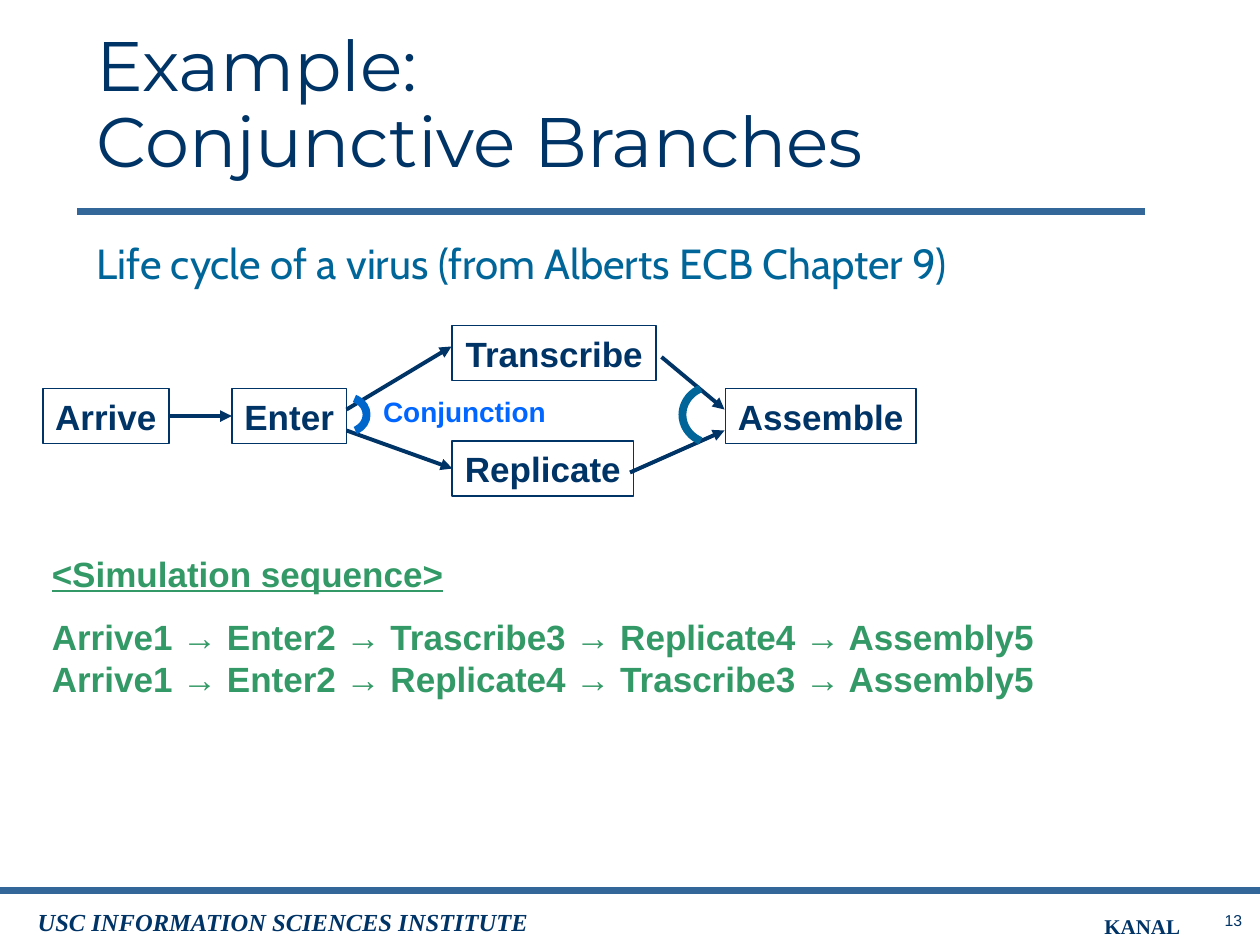
from pptx import Presentation, util as u
from pptx.dml import color
from pptx.enum import shapes, text
from pptx.oxml.ns import qn
from lxml import etree

NAVY = "003366"
BLUE = "336699"
GREEN = "339966"
TEAL = "006699"


def rgb(value):
    """Turn a hex string into a colour."""
    return color.RGBColor.from_string(value)


def place(area):
    """Turn a row of points into lengths."""
    return [u.Pt(value) for value in area]


def style(para, size, shade, name="Arial", bold=False, italic=False):
    """Set the font of a whole paragraph."""
    font = para.font
    font.size, font.name = u.Pt(size), name
    font.bold, font.italic = bold, italic
    font.color.rgb = rgb(shade)


def add_text(page, lines, area, size, shade, centred=False, wrap=True, **look):
    """Add a text box with one paragraph for each line."""
    frame = page.shapes.add_textbox(*place(area)).text_frame
    frame.word_wrap = wrap
    frame.text = "\n".join(lines)
    for para in frame.paragraphs:
        if centred:
            para.alignment = text.PP_ALIGN.CENTER
        style(para, size, shade, **look)
    return frame


def add_step(page, label, left, top, width):
    """Add an outlined box that names one step."""
    box = page.shapes.add_shape(
        shapes.MSO_SHAPE.RECTANGLE, *place((left, top, width, 31.5)))
    box.shadow.inherit = False
    box.fill.background()
    box.line.color.rgb = rgb(NAVY)
    box.line.width = u.Pt(1)
    frame = box.text_frame
    frame.word_wrap = False
    para = frame.paragraphs[0]
    para.text = label
    para.alignment = text.PP_ALIGN.CENTER
    style(para, 20, NAVY, bold=True)
    return box


def add_line(page, ends, shade, width, arrow=False):
    """Add a straight line, with an arrowhead at its end if asked."""
    line = page.shapes.add_connector(
        shapes.MSO_CONNECTOR.STRAIGHT, *place(ends))
    line.line.color.rgb = rgb(shade)
    line.line.width = u.Pt(width)
    if arrow:
        etree.SubElement(line.line._get_or_add_ln(), qn("a:tailEnd"),
                         type="triangle")
    etree.SubElement(line._element.spPr, qn("a:effectLst"))
    return line


def add_arc(page, area, start, end, shade):
    """Add an arc that runs clockwise between two angles in degrees."""
    arc = page.shapes.add_shape(shapes.MSO_SHAPE.ARC, *place(area))
    arc.shadow.inherit = False
    arc.fill.background()
    arc.adjustments[0] = start * 0.6
    arc.adjustments[1] = end * 0.6
    arc.line.color.rgb = rgb(shade)
    arc.line.width = u.Pt(4.5)


def add_title(page, words):
    """Place and format the title placeholder."""
    title = page.shapes.title
    title.left, title.top, title.width, title.height = place((48, 18, 602, 90))
    frame = title.text_frame
    frame.word_wrap = True
    frame.auto_size = text.MSO_AUTO_SIZE.NONE
    frame.vertical_anchor = text.MSO_ANCHOR.BOTTOM
    frame.text = words
    para = frame.paragraphs[0]
    para.alignment = text.PP_ALIGN.LEFT
    para.line_spacing = 0.9
    style(para, 40, NAVY, "Montserrat")


def add_frame(page):
    """Add the rules and the footer."""
    add_line(page, (654.5, 121, 44, 121), BLUE, 4)
    add_line(page, (720, 509, -1, 509), BLUE, 4)
    add_text(page, ["13"], (677, 517, 55.5, 18), 9, NAVY,
             centred=True, wrap=False)
    for words, area, size, italic in (
            ("USC INFORMATION SCIENCES INSTITUTE", (14.4, 515, 314, 24), 14, True),
            ("KANAL", (624, 518.4, 84, 21.6), 12, False)):
        add_text(page, [words], area, size, NAVY,
                 name="Times New Roman", bold=True, italic=italic)


def add_diagram(page):
    """Add the steps, their arrows and the conjunction arcs."""
    arrive = add_step(page, "Arrive", 24.5, 222, 72)
    enter = add_step(page, "Enter", 132.5, 222, 65.5)
    add_step(page, "Transcribe", 258.5, 186, 116.5)
    replicate = add_step(page, "Replicate", 258.5, 252, 103.5)
    add_step(page, "Assemble", 414.5, 222, 109)

    first = add_line(page, (96.5, 240, 132, 240), NAVY, 2.25, arrow=True)
    first.begin_connect(arrive, 3)
    first.end_connect(enter, 1)
    add_line(page, (198, 234, 258, 198), NAVY, 2.25, arrow=True)
    lower = add_line(page, (198, 246, 258, 270), NAVY, 2.25, arrow=True)
    lower.end_connect(replicate, 1)
    add_line(page, (378, 204, 414, 234), NAVY, 2.25, arrow=True)
    add_line(page, (360, 270, 414, 246), NAVY, 2.25, arrow=True)

    add_arc(page, (187, 227, 22.5, 20), 295, 62, "0066CC")
    add_arc(page, (390, 220.5, 36, 33), 117, 243, TEAL)
    add_text(page, ["Conjunction"], (210, 222, 111, 26.5), 16, "0066FF",
             centred=True, bold=True)


def add_sequence(page):
    """Add the heading and the two simulated orders."""
    orders = (("Trascribe3", "Replicate4"), ("Replicate4", "Trascribe3"))
    lines = [" → ".join(("Arrive1", "Enter2", *order, "Assembly5"))
             for order in orders]
    frame = add_text(page, ["<Simulation sequence>", *lines],
                     (22.5, 312, 577.5, 91.5), 20, GREEN, wrap=False, bold=True)
    frame.paragraphs[0].font.underline = True
    frame.paragraphs[1].space_before = u.Pt(12)


def main():
    """Build the slide and save it."""
    deck = Presentation()
    deck.slide_width, deck.slide_height = u.Pt(720), u.Pt(540)
    page = deck.slides.add_slide(deck.slide_layouts[5])
    add_frame(page)
    add_title(page, "Example:\vConjunctive Branches")
    add_text(page, ["Life cycle of a virus (from Alberts ECB Chapter 9)"],
             (21, 132, 554.5, 36), 24, TEAL,
             centred=True, wrap=False, name="Cabin")
    add_diagram(page)
    add_sequence(page)
    deck.save("out.pptx")


if __name__ == "__main__":
    main()
